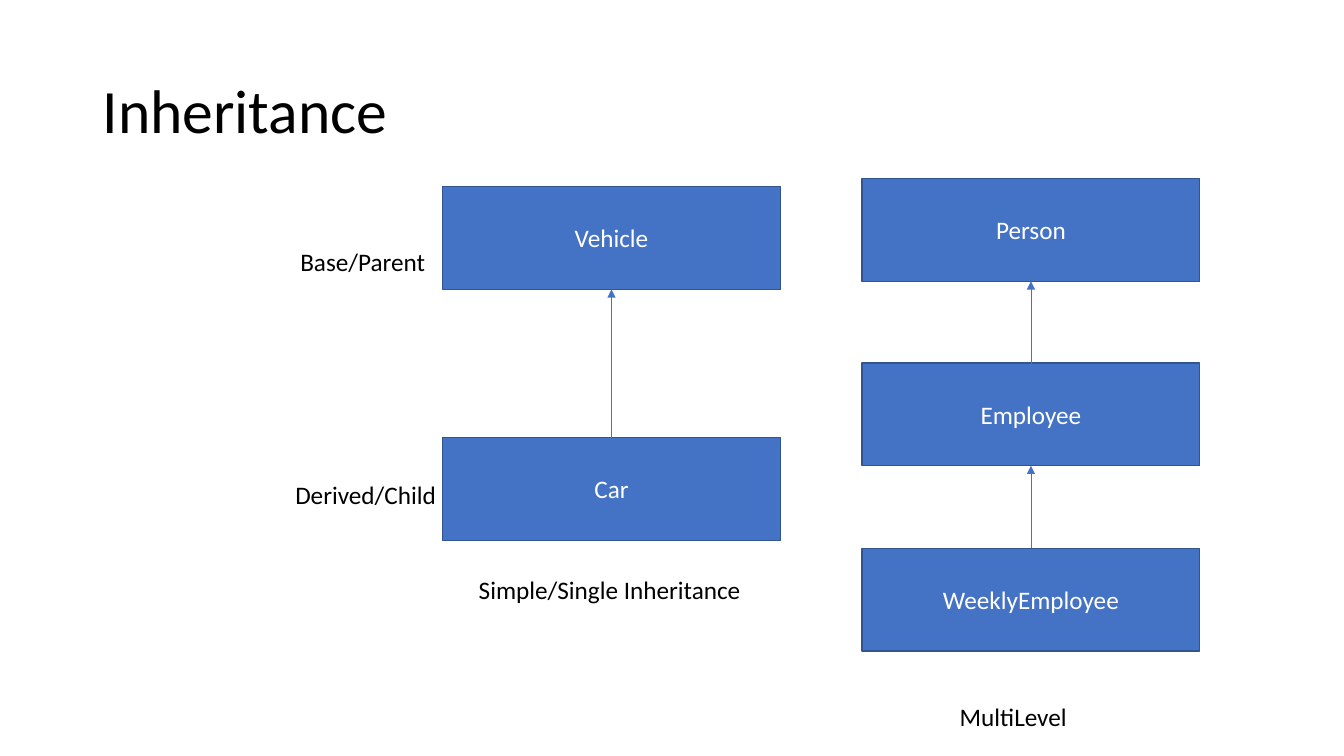
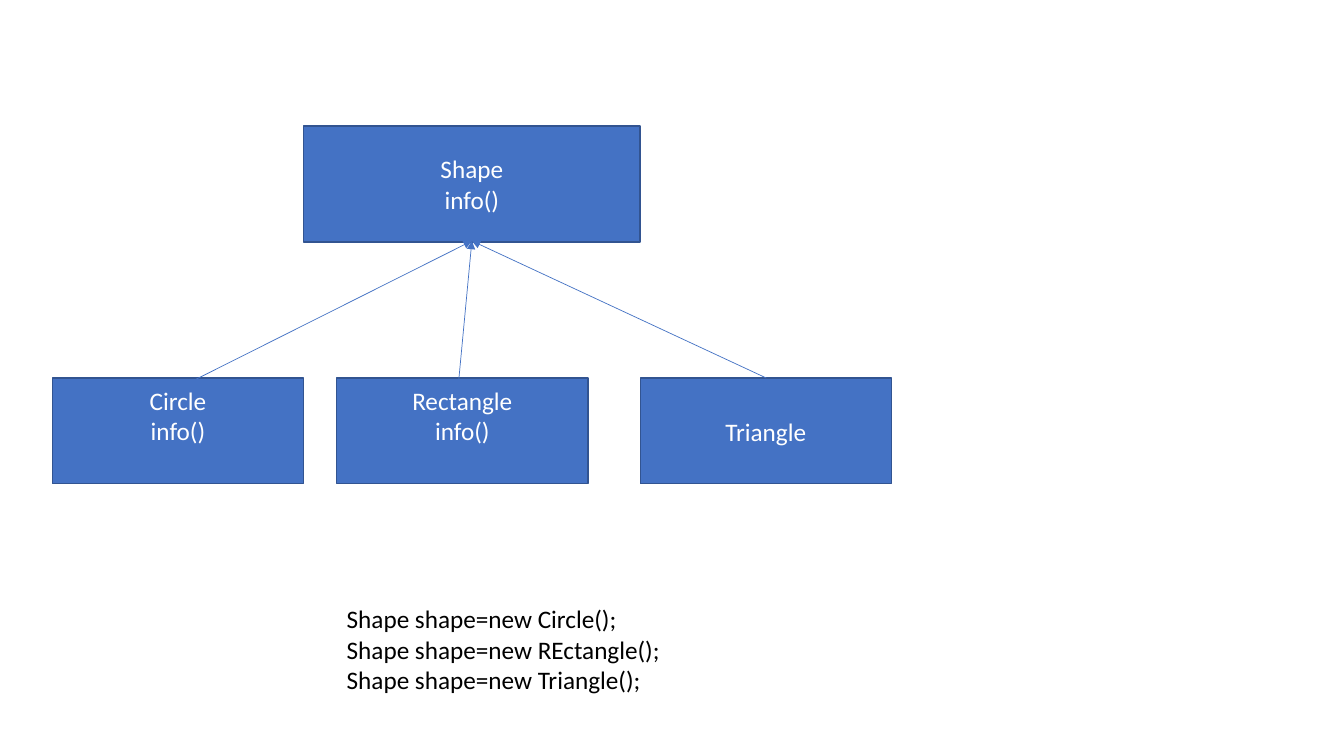
import pptx
import pptx.util
import pptx.dml.color
import pptx.enum.shapes
import pptx.enum.text
import pptx.oxml.ns
import lxml.etree
from dataclasses import dataclass

Inches = pptx.util.Inches
Pt = pptx.util.Pt
rgb = pptx.dml.color.RGBColor.from_string
anchor = pptx.enum.text.MSO_ANCHOR
align = pptx.enum.text.PP_ALIGN


@dataclass
class Theme:
    font: str = "Calibri"
    fill: str = "4472C4"
    edge: str = "325491"
    ink: str = "000000"
    white: str = "FFFFFF"
    title: int = 44
    body: int = 18


theme = Theme()


def write(shape, text, size, color, side):
    frame = shape.text_frame
    frame.text = text
    for para in frame.paragraphs:
        para.alignment = side
        para.font.name = theme.font
        para.font.size = Pt(size)
        para.font.color.rgb = rgb(color)
    return frame


def draw(slide, boxes, arrows, labels):
    for text, left, top, width, height, foot in boxes:
        box = slide.shapes.add_shape(
            pptx.enum.shapes.MSO_SHAPE.RECTANGLE,
            Inches(left), Inches(top), Inches(width), Inches(height))
        box.shadow.inherit = False
        box.fill.solid()
        box.fill.fore_color.rgb = rgb(theme.fill)
        box.line.color.rgb = rgb(theme.edge)
        box.line.width = Pt(1)
        frame = write(box, text, theme.body, theme.white, align.CENTER)
        frame.vertical_anchor = anchor.MIDDLE
        frame.margin_bottom = Inches(foot)
    for ends in arrows:
        arrow = slide.shapes.add_connector(
            pptx.enum.shapes.MSO_CONNECTOR.STRAIGHT,
            *[Inches(end) for end in ends])
        arrow.line.color.rgb = rgb(theme.fill)
        arrow.line.width = Pt(0.5)
        line = arrow.line._get_or_add_ln()
        tail = lxml.etree.SubElement(line, pptx.oxml.ns.qn("a:tailEnd"))
        tail.set("type", "triangle")
        lxml.etree.SubElement(
            arrow._element.spPr, pptx.oxml.ns.qn("a:effectLst"))
    for text, left, top, width, height in labels:
        label = slide.shapes.add_textbox(
            Inches(left), Inches(top), Inches(width), Inches(height))
        frame = write(label, text, theme.body, theme.ink, align.LEFT)
        frame.word_wrap = False


deck = pptx.Presentation()
deck.slide_width = Inches(13.33)
deck.slide_height = Inches(7.5)
blank = deck.slide_layouts[6]

slide = deck.slides.add_slide(blank)
title = slide.shapes.add_textbox(
    Inches(0.92), Inches(0.4), Inches(11.5), Inches(1.45))
frame = write(title, "Inheritance", theme.title, theme.ink, align.LEFT)
frame.word_wrap = True
frame.vertical_anchor = anchor.MIDDLE
frame.paragraphs[0].line_spacing = 0.9

wide, tall, inset = 3.35, 1.02, 0.05
single, multi = 4.39, 8.55
boxes = [
    (text, left, top, wide, tall, inset)
    for text, left, top in [
        ("Car", single, 4.34),
        ("Vehicle", single, 1.85),
        ("Employee", multi, 3.6),
        ("Person", multi, 1.77),
        ("WeeklyEmployee", multi, 5.44),
    ]
]
arrows = [
    (left + wide / 2, start, left + wide / 2, end)
    for left, start, end in [
        (single, 4.49, 2.87), (multi, 4.41, 2.79), (multi, 5.44, 4.62)]
]
labels = [
    ("Simple/Single Inheritance", 4.65, 5.65, 2.83, 0.4),
    ("Base/Parent", 2.88, 2.39, 1.45, 0.4),
    ("Derived/Child", 2.83, 4.71, 1.62, 0.4),
    ("MultiLevel", 9.42, 6.91, 1.28, 0.4),
]
draw(slide, boxes, arrows, labels)

slide = deck.slides.add_slide(blank)
boxes = [("Shape\ninfo()", 3.01, 1.25, 3.34, 1.15, inset)]
arrows = []
for text, left, foot, x, y in [
    ("Circle\ninfo()", 0.52, 0.35, 1.71, 3.88),
    ("Rectangle\ninfo()", 3.34, 0.35, 4.54, 3.88),
    ("Triangle", 6.35, inset, 7.6, 3.75),
]:
    boxes.append((text, left, 3.75, 2.49, 1.05, foot))
    arrows.append((x, y, 4.68, 2.39))
code = "\n".join(
    f"Shape shape=new {kind}();"
    for kind in ["Circle", "REctangle", "Triangle"])
draw(slide, boxes, arrows, [(code, 3.34, 5.94, 3.35, 1.62)])

deck.save("out.pptx")
